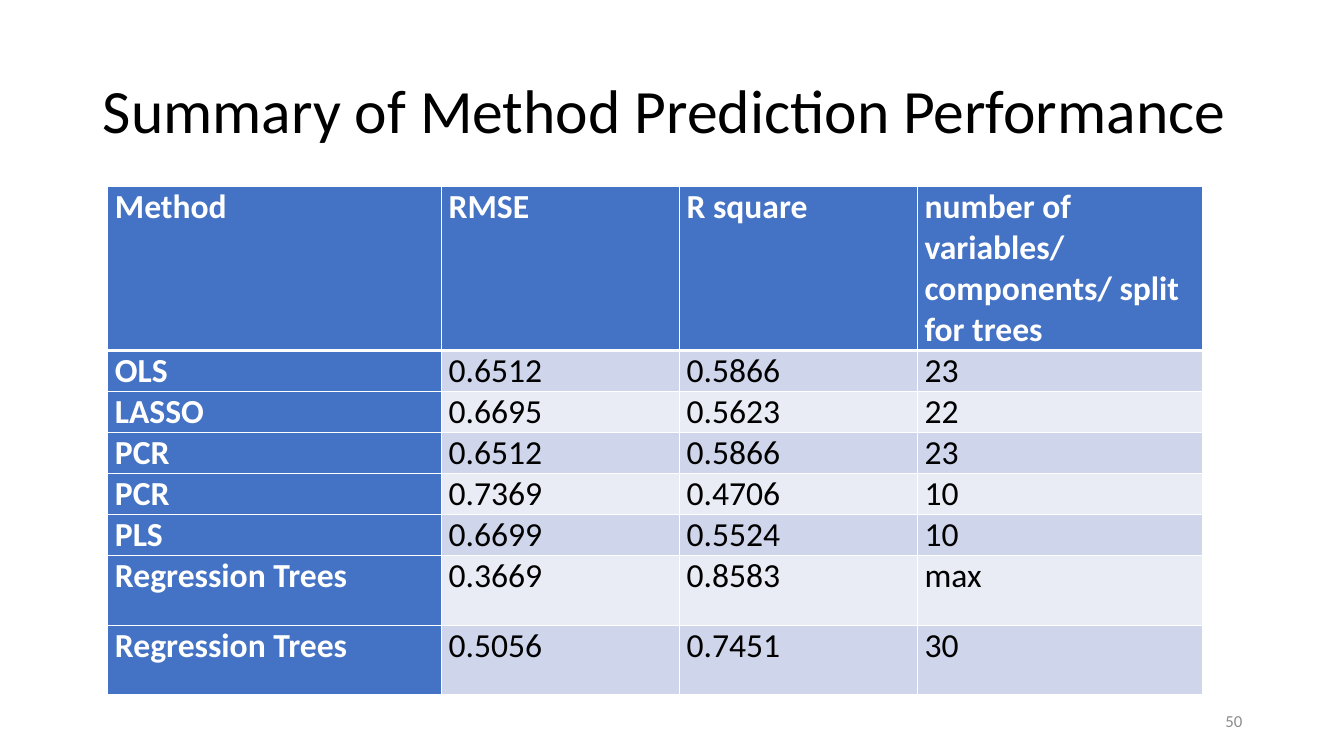
from dataclasses import dataclass
from pptx import Presentation
from pptx.dml.color import RGBColor as RGB
from pptx.enum.text import MSO_ANCHOR as Anchor, MSO_AUTO_SIZE as Fit, PP_ALIGN as Align
from pptx.oxml import parse_xml
from pptx.oxml.ns import nsdecls
from pptx.util import Inches, Pt


@dataclass(frozen=True)
class Theme:
    face: str = "Calibri"
    ink: str = "000000"
    paper: str = "FFFFFF"
    head: str = "4472C4"
    bands: tuple = ("CFD5EA", "E9EBF5")
    mute: str = "8C8C8C"
    title: int = 44
    body: int = 24
    note: int = 12


T = Theme()
COLS = (3.31, 2.36, 2.36, 2.83)
TALL, LOW, HIGH = 1.39, 0.39, 0.69
ROWS = (
    ("Method", "RMSE", "R square", "number of variables/ components/ split for trees"),
    ("OLS", "0.6512", "0.5866", "23"),
    ("LASSO", "0.6695", "0.5623", "22"),
    ("PCR", "0.6512", "0.5866", "23"),
    ("PCR", "0.7369", "0.4706", "10"),
    ("PLS", "0.6699", "0.5524", "10"),
    ("Regression Trees", "0.3669", "0.8583", "max"),
    ("Regression Trees", "0.5056", "0.7451", "30"),
)


def style(item, form):
    for key, value in form.items():
        setattr(item, key, value)


def write(frame, text, size, color, bold=False, align=Align.LEFT):
    frame.text = text
    para = frame.paragraphs[0]
    para.alignment = align
    style(para.font, dict(name=T.face, size=Pt(size), bold=bold))
    para.font.color.rgb = RGB.from_string(color)
    return para


def place(shape, box):
    style(shape, dict(zip(("left", "top", "width", "height"), map(Inches, box))))


def edge(cell, side, width):
    cell._tc.get_or_add_tcPr().append(parse_xml(
        f'<a:ln{side} {nsdecls("a")} w="{Pt(width)}"><a:solidFill>'
        f'<a:srgbClr val="{T.paper}"/></a:solidFill></a:ln{side}>'))


def add_title(slide, box, text):
    shape = slide.shapes.title
    place(shape, box)
    frame = shape.text_frame
    style(frame, dict(word_wrap=True, auto_size=Fit.NONE, vertical_anchor=Anchor.MIDDLE))
    write(frame, text, T.title, T.ink).line_spacing = 0.9


def fill_cell(cell, text, row, col):
    key = row == 0 or col == 0
    style(cell, dict(margin_left=Inches(0.07), margin_right=Inches(0.07),
                     margin_top=0, margin_bottom=0))
    write(cell.text_frame, text, T.body, T.paper if key else T.ink, key)
    thick = {"T": row == 1, "B": row == 0}
    for side in "LRTB":
        edge(cell, side, 3 if thick.get(side) else 1)
    cell.fill.solid()
    cell.fill.fore_color.rgb = RGB.from_string(T.head if key else T.bands[(row - 1) % 2])


def add_grid(slide, left, top):
    tops = [TALL] + [HIGH if "Trees" in row[0] else LOW for row in ROWS[1:]]
    box = map(Inches, (left, top, sum(COLS), sum(tops)))
    grid = slide.shapes.add_table(len(ROWS), len(COLS), *box).table
    for col, width in zip(grid.columns, COLS):
        col.width = Inches(width)
    for row, height in zip(grid.rows, tops):
        row.height = Inches(height)
    for r, row in enumerate(ROWS):
        for c, text in enumerate(row):
            fill_cell(grid.cell(r, c), text, r, c)


def add_number(slide, box, text):
    frame = slide.shapes.add_textbox(*map(Inches, box)).text_frame
    style(frame, dict(word_wrap=True, vertical_anchor=Anchor.MIDDLE))
    write(frame, text, T.note, T.mute, align=Align.RIGHT)


def main():
    deck = Presentation()
    style(deck, dict(slide_width=Inches(13.33), slide_height=Inches(7.5)))
    slide = deck.slides.add_slide(deck.slide_layouts[5])
    add_title(slide, (0.92, 0.4, 11.5, 1.45), "Summary of Method Prediction Performance")
    add_grid(slide, 1.07, 1.85)
    add_number(slide, (9.42, 6.95, 3, 0.4), "50")
    deck.save("out.pptx")


if __name__ == "__main__":
    main()
